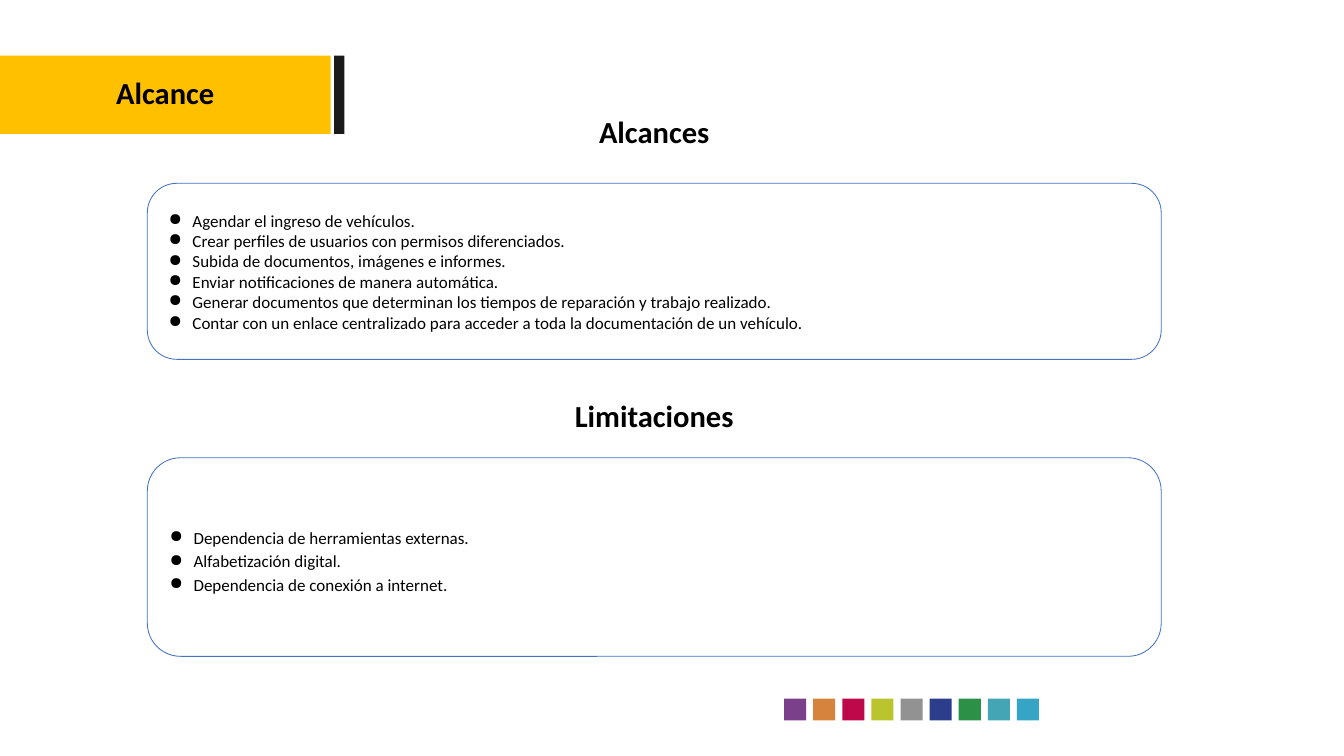
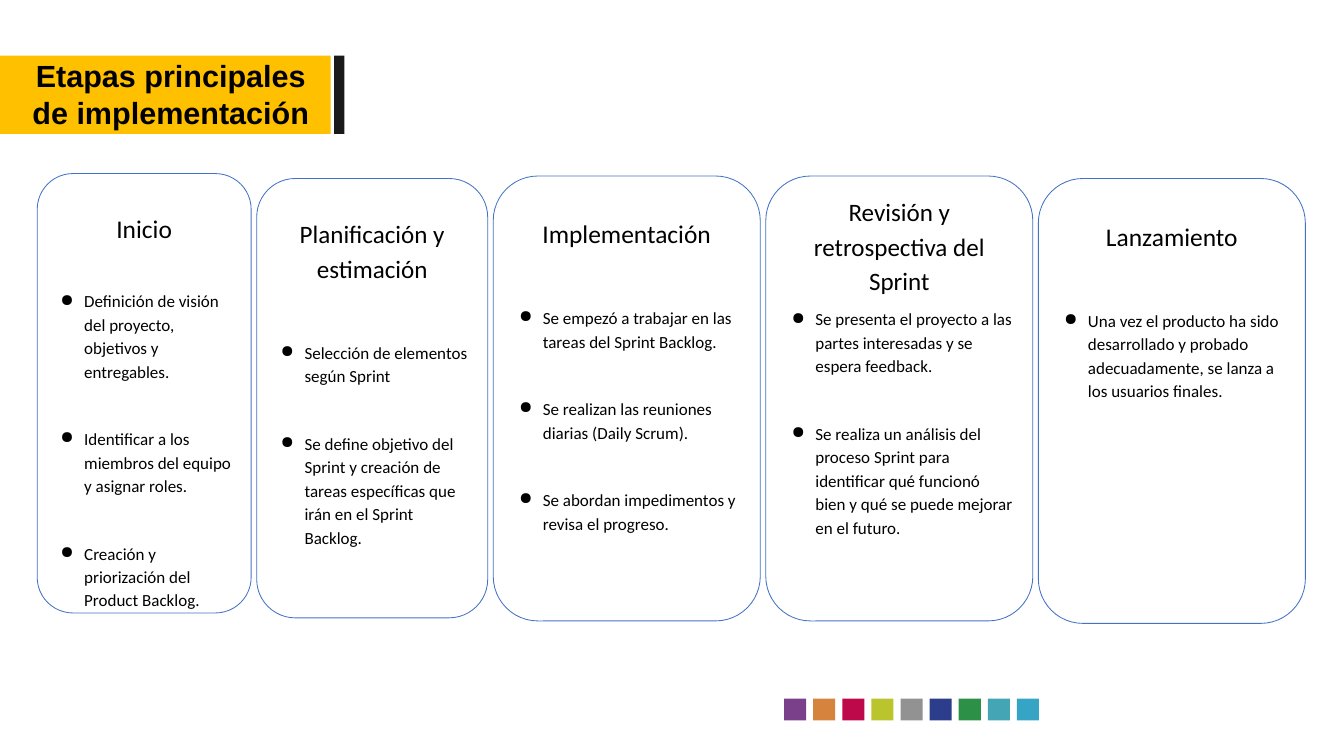
from dataclasses import dataclass
from typing import Any, Optional

from lxml import etree
from pptx import Presentation
from pptx.dml.color import RGBColor
from pptx.enum.shapes import MSO_SHAPE
from pptx.enum.text import MSO_ANCHOR, MSO_AUTO_SIZE, PP_ALIGN
from pptx.oxml.ns import qn
from pptx.util import Inches, Pt

RECTANGLE, ROUNDED = MSO_SHAPE.RECTANGLE, MSO_SHAPE.ROUNDED_RECTANGLE
TOP, MIDDLE = MSO_ANCHOR.TOP, MSO_ANCHOR.MIDDLE
LEFT, CENTER = PP_ALIGN.LEFT, PP_ALIGN.CENTER
FIXED_SIZE = MSO_AUTO_SIZE.NONE

SLIDE_WIDTH, SLIDE_HEIGHT = Inches(21.99), Inches(12.37)
TITLE_ONLY = 5

# Shared look
BLACK, WHITE = "000000", "FFFFFF"
BAND, BAR, OUTLINE = "FFC000", "1A1A1A", "4472C4"
SQUARE_COLOURS = ["7B408A", "D6843D", "BD0949", "BAC52E", "929292",
                  "2C3E8B", "2C9146", "44A6B5", "35A4C5"]
BODY_FONT = "Calibri"
TITLE_SIZE, BODY_SIZE = 36, 20
LOOSE = 1.15
PARAGRAPH_GAP = 12
CORNER = 0.167


@dataclass(frozen=True)
class Box:
    """A place on the slide, in percent of its width and height."""
    left: float
    top: float
    width: float
    height: float

    def lengths(self) -> dict[str, int]:
        return {
            "left": round(SLIDE_WIDTH * self.left / 100),
            "top": round(SLIDE_HEIGHT * self.top / 100),
            "width": round(SLIDE_WIDTH * self.width / 100),
            "height": round(SLIDE_HEIGHT * self.height / 100),
        }


@dataclass(frozen=True)
class Section:
    heading: str
    heading_top: float
    box: Box
    bullets: list[str]
    line_spacing: float = 1.0
    top_inset: float = 0.05


@dataclass(frozen=True)
class Stage:
    heading: str
    bullets: list[str]
    top: float
    width: float
    height: float
    heading_size: float = 30
    heading_gap: float = 66
    top_inset: float = 0.4


BAND_BOX = Box(0, 7.36, 24.6, 10.35)
BAR_BOX = Box(24.87, 7.36, 0.75, 10.35)
FIRST_SQUARE, LAST_SQUARE = 58.34, 75.67
SQUARE_TOP, SQUARE_WIDTH, SQUARE_HEIGHT = 92.4, 1.64, 2.91
STAGE_LEFT, STAGE_GAP = 2.77, 0.41
BULLET_GAP = 52

SECTIONS = [
    Section("Alcances", 14.55, Box(10.96, 24.25, 75.44, 23.28), [
        "Agendar el ingreso de vehículos.",
        "Crear perfiles de usuarios con permisos diferenciados.",
        "Subida de documentos, imágenes e informes.",
        "Enviar notificaciones de manera automática.",
        "Generar documentos que determinan los tiempos de reparación y trabajo realizado.",
        "Contar con un enlace centralizado para acceder a toda la documentación de un vehículo.",
    ]),
    Section("Limitaciones", 52.14, Box(10.96, 60.55, 75.44, 26.27), [
        "Dependencia de herramientas externas.",
        "Alfabetización digital.",
        "Dependencia de conexión a internet.",
    ], line_spacing=LOOSE, top_inset=0.13),
]

STAGES = [
    Stage("Inicio", [
        "Definición de visión del proyecto, objetivos y entregables.",
        "Identificar a los miembros del equipo y asignar roles.",
        "Creación y priorización del Product Backlog.",
    ], 22.96, 15.92, 58.12, heading_gap=BULLET_GAP),
    Stage("Planificación y estimación", [
        "Selección de elementos según Sprint",
        "Se define objetivo del Sprint y creación de tareas específicas "
        "que irán en el Sprint Backlog.",
    ], 23.61, 17.19, 58.12, heading_size=29.5),
    Stage("Implementación", [
        "Se empezó a trabajar en las tareas del Sprint Backlog.",
        "Se realizan las reuniones diarias (Daily Scrum).",
        "Se abordan impedimentos y revisa el progreso.",
    ], 23.28, 19.87, 58.85),
    Stage("Revisión y retrospectiva del Sprint", [
        "Se presenta el proyecto a las partes interesadas y se espera feedback.",
        "Se realiza un análisis del proceso Sprint para identificar qué funcionó "
        "bien y qué se puede mejorar en el futuro.",
    ], 23.28, 19.87, 58.85, heading_size=29.5, heading_gap=PARAGRAPH_GAP, top_inset=0.05),
    Stage("Lanzamiento", [
        "Una vez el producto ha sido desarrollado y probado adecuadamente, "
        "se lanza a los usuarios finales.",
    ], 23.61, 19.87, 58.85),
]


def colour(hex_string: str) -> RGBColor:
    return RGBColor.from_string(hex_string)


def apply(target: Any, values: dict[str, Any]) -> None:
    for name, value in values.items():
        setattr(target, name, value)


def add_block(slide: Any, kind: Any, box: Box, fill: str,
              outline: Optional[str] = None) -> Any:
    shape = slide.shapes.add_shape(kind, **box.lengths())
    shape.shadow.inherit = False
    shape.fill.solid()
    shape.fill.fore_color.rgb = colour(fill)
    if outline:
        shape.line.color.rgb = colour(outline)
        shape.line.width = Pt(1)
    else:
        shape.line.fill.background()
    return shape


def format_frame(frame: Any, anchor: Any, side: float, top: float, bottom: float) -> None:
    apply(frame, {
        "word_wrap": True, "auto_size": FIXED_SIZE, "vertical_anchor": anchor,
        "margin_left": Inches(side), "margin_right": Inches(side),
        "margin_top": Inches(top), "margin_bottom": Inches(bottom),
    })


def write(paragraph: Any, text: str, size: float, *, font: str = BODY_FONT,
          bold: bool = False, align: Any = CENTER, spacing: float = 1.0,
          before: float = 0) -> None:
    run = paragraph.add_run()
    run.text = text
    apply(run.font, {"size": Pt(size), "name": font, "bold": bold})
    run.font.color.rgb = colour(BLACK)
    apply(paragraph, {"alignment": align, "line_spacing": spacing,
                      "space_before": Pt(before)})


def write_bullet(paragraph: Any, text: str, spacing: float, before: float) -> None:
    write(paragraph, text, BODY_SIZE, align=LEFT, spacing=spacing, before=before)
    properties = paragraph._p.get_or_add_pPr()
    properties.set("marL", str(Inches(0.5)))
    properties.set("indent", str(Inches(-0.39)))
    bullet_colour = etree.SubElement(properties, qn("a:buClr"))
    etree.SubElement(bullet_colour, qn("a:srgbClr")).set("val", BLACK)
    etree.SubElement(properties, qn("a:buChar")).set("char", "●")


def add_card(slide: Any, box: Box, anchor: Any, top_inset: float) -> Any:
    card = add_block(slide, ROUNDED, box, WHITE, OUTLINE)
    card.adjustments[0] = CORNER
    format_frame(card.text_frame, anchor, 0.1, top_inset, 0.05)
    return card.text_frame


def add_titled_slide(presentation: Any, title: str, box: Box, font: str) -> Any:
    slide = presentation.slides.add_slide(presentation.slide_layouts[TITLE_ONLY])
    placeholder = slide.shapes.title
    apply(placeholder, box.lengths())
    format_frame(placeholder.text_frame, MIDDLE, 0, 0, 0)
    write(placeholder.text_frame.paragraphs[0], title, TITLE_SIZE, font=font, bold=True)
    return slide


def decorate_layout(presentation: Any, slide: Any) -> None:
    """Draw the band, bar and squares, then move them behind the layout's placeholders."""
    blocks = [add_block(slide, RECTANGLE, BAND_BOX, BAND),
              add_block(slide, RECTANGLE, BAR_BOX, BAR)]
    pitch = (LAST_SQUARE - FIRST_SQUARE) / (len(SQUARE_COLOURS) - 1)
    for index, fill in enumerate(SQUARE_COLOURS):
        box = Box(FIRST_SQUARE + index * pitch, SQUARE_TOP, SQUARE_WIDTH, SQUARE_HEIGHT)
        blocks.append(add_block(slide, RECTANGLE, box, fill))
    tree = presentation.slide_layouts[TITLE_ONLY].shapes.element
    for index, block in enumerate(blocks):
        block.element.nvSpPr.cNvPr.set("id", str(100 + index))
        tree.insert(2 + index, block.element)


def add_section(slide: Any, section: Section) -> None:
    heading_box = Box(6.73, section.heading_top, 83.9, 5.74)
    heading = slide.shapes.add_textbox(**heading_box.lengths()).text_frame
    format_frame(heading, TOP, 0.1, 0.05, 0.05)
    write(heading.paragraphs[0], section.heading, TITLE_SIZE, bold=True)
    frame = add_card(slide, section.box, MIDDLE, section.top_inset)
    for index, text in enumerate(section.bullets):
        paragraph = frame.add_paragraph() if index else frame.paragraphs[0]
        write_bullet(paragraph, text, section.line_spacing, 0)


def add_stage(slide: Any, stage: Stage, left: float) -> None:
    box = Box(left, stage.top, stage.width, stage.height)
    frame = add_card(slide, box, TOP, stage.top_inset)
    write(frame.paragraphs[0], stage.heading, stage.heading_size, spacing=LOOSE)
    for index, text in enumerate(stage.bullets):
        gap = BULLET_GAP if index else stage.heading_gap
        write_bullet(frame.add_paragraph(), text, LOOSE, gap)


def main() -> None:
    presentation = Presentation()
    apply(presentation, {"slide_width": SLIDE_WIDTH, "slide_height": SLIDE_HEIGHT})

    # Scope and limits
    scope = add_titled_slide(presentation, "Alcance", Box(0, 9.7, 24.6, 4.93), BODY_FONT)
    decorate_layout(presentation, scope)
    for section in SECTIONS:
        add_section(scope, section)

    # Stages, side by side
    stages = add_titled_slide(presentation, "Etapas principales de implementación",
                              Box(1.91, 7.52, 21.6, 9.78), "Arial")
    left = STAGE_LEFT
    for stage in STAGES:
        add_stage(stages, stage, left)
        left += stage.width + STAGE_GAP

    presentation.save("out.pptx")


if __name__ == "__main__":
    main()
